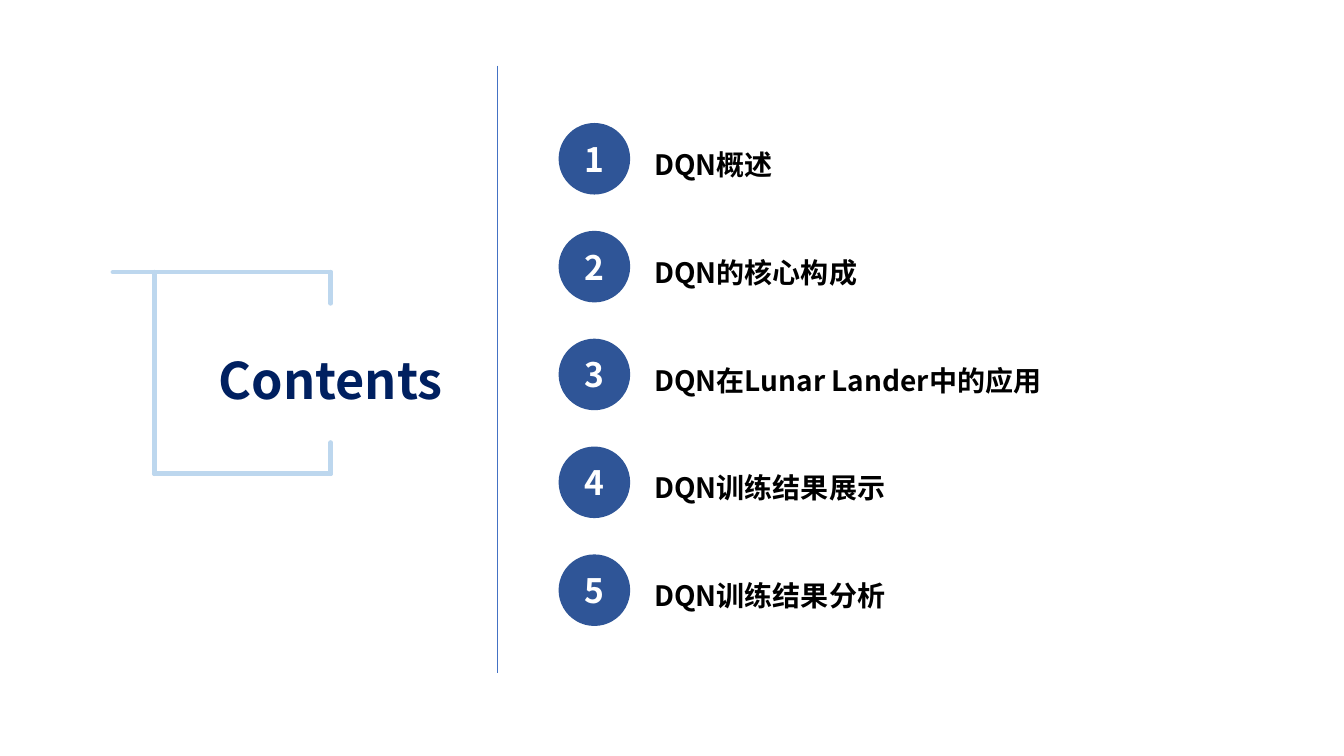
"""Build the contents slide: a framed title and five numbered topics."""
import pptx
import pptx.dml.color
import pptx.enum.shapes
import pptx.enum.text
import pptx.oxml.ns
import pptx.util
from lxml import etree
from pptx.util import Inches

FONT = "Noto Sans CJK SC"
COLORS = {"title": "002060", "rule": "4472C4", "frame": "BDD7EE",
          "disc": "2F5597", "digit": "FFFFFF", "topic": "000000"}
ALIGN = pptx.enum.text.PP_ALIGN
ANCHOR = pptx.enum.text.MSO_ANCHOR


def write(shape, text, size, color, align, anchor, spacing):
    frame = shape.text_frame
    frame.word_wrap = True
    frame.auto_size = pptx.enum.text.MSO_AUTO_SIZE.NONE
    frame.vertical_anchor = anchor
    para = frame.paragraphs[0]
    para.text = text
    para.alignment = align
    para.line_spacing = spacing
    font = para.font
    font.name = FONT
    font.size = pptx.util.Pt(size)
    font.bold = True
    font.color.rgb = pptx.dml.color.RGBColor.from_string(COLORS[color])
    props = para._p.pPr.find(pptx.oxml.ns.qn("a:defRPr"))
    etree.SubElement(props, pptx.oxml.ns.qn("a:ea"), typeface=FONT)


def draw(x1, y1, x2, y2, color, width):
    line = slide.shapes.add_connector(
        pptx.enum.shapes.MSO_CONNECTOR.STRAIGHT,
        Inches(x1), Inches(y1), Inches(x2), Inches(y2))
    line.line.color.rgb = pptx.dml.color.RGBColor.from_string(COLORS[color])
    line.line.width = pptx.util.Pt(width)
    props = line._element.spPr
    etree.SubElement(props, pptx.oxml.ns.qn("a:effectLst"))
    return props.find(pptx.oxml.ns.qn("a:ln"))


deck = pptx.Presentation()
deck.slide_width = Inches(13.33)
deck.slide_height = Inches(7.5)
slide = deck.slides.add_slide(deck.slide_layouts[5])

title = slide.shapes.title
title.left, title.top = Inches(1.9), Inches(3.26)
title.width, title.height = Inches(2.76), Inches(0.81)
write(title, "Contents", 36, "title", ALIGN.CENTER, ANCHOR.TOP, 1.25)

draw(4.93, 0.65, 4.93, 6.68, "rule", 0.5)

left, right, top, base, stub = 1.53, 3.28, 2.7, 4.7, 0.31
edges = [(1.12, top, right, top), (left, base, right, base),
         (left, top, left, base), (right, top, right, top + stub),
         (right, base - stub, right, base)]
for edge in edges:
    draw(*edge, "frame", 3.25).set("cap", "rnd")

topics = ["DQN概述", "DQN的核心构成", "DQN在Lunar Lander中的应用",
          "DQN训练结果展示", "DQN训练结果分析"]
start, pitch, size = 1.22, 1.07, 0.71
for row, topic in enumerate(topics):
    y = start + row * pitch
    disc = slide.shapes.add_shape(
        pptx.enum.shapes.MSO_SHAPE.OVAL,
        Inches(5.54), Inches(y), Inches(size), Inches(size))
    disc.shadow.inherit = False
    disc.fill.solid()
    disc.fill.fore_color.rgb = pptx.dml.color.RGBColor.from_string(
        COLORS["disc"])
    disc.line.fill.background()
    write(disc, str(row + 1), 24, "digit", ALIGN.CENTER, ANCHOR.MIDDLE, 1.0)
    label = slide.shapes.add_textbox(
        Inches(6.39), Inches(y + 0.11), Inches(4.66), Inches(0.48))
    write(label, topic, 20, "topic", ALIGN.LEFT, ANCHOR.TOP, 1.25)

deck.save("out.pptx")
